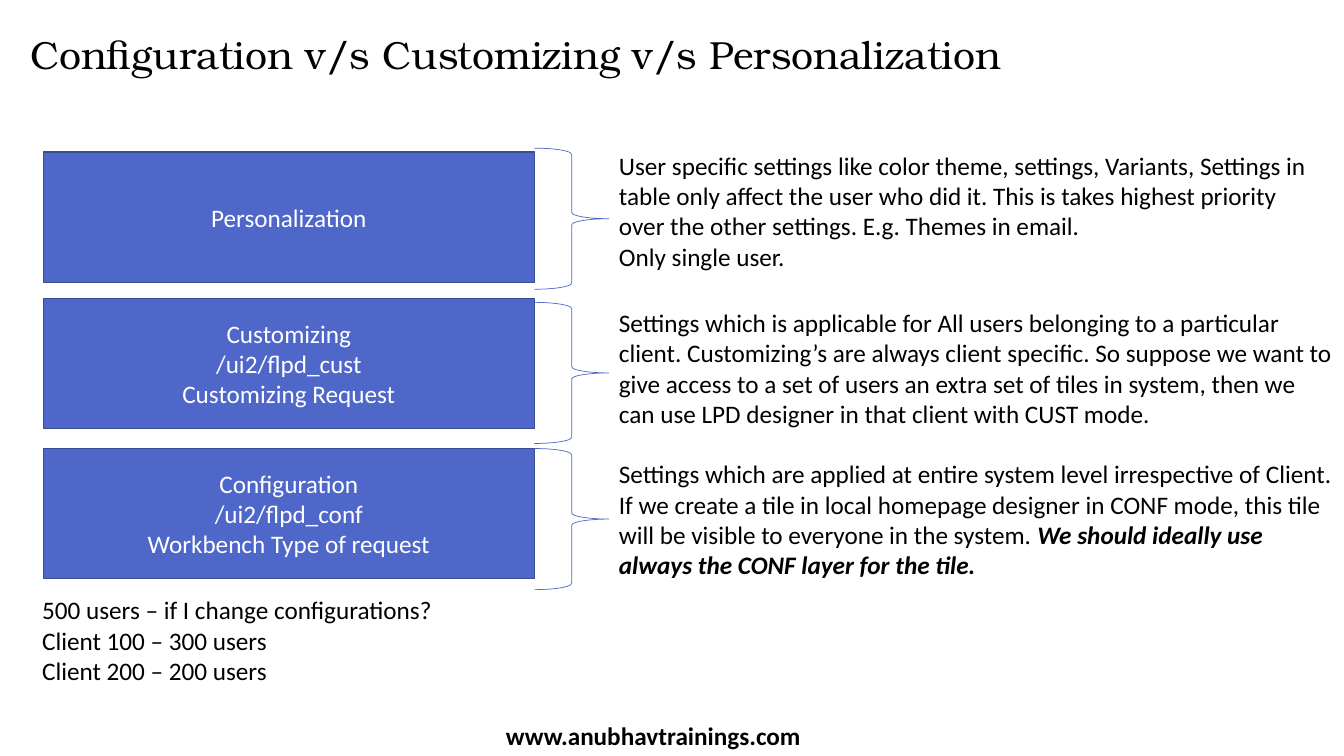
import pptx
import pptx.util
import pptx.dml.color
import pptx.enum.shapes
import pptx.enum.text

Inches = pptx.util.Inches
Pt = pptx.util.Pt
SHAPE = pptx.enum.shapes.MSO_SHAPE
ALIGN = pptx.enum.text.PP_ALIGN
MIDDLE = pptx.enum.text.MSO_ANCHOR.MIDDLE

BLUE, EDGE, BLACK, WHITE = "4E67C8", "3A4C94", "000000", "FFFFFF"
BODY = {"name": "Calibri", "size": Pt(18)}
STRONG = {"bold": True, "italic": True}

# Box top, brace top, note top, note width, box lines, note paragraphs (lists of runs)
LEVELS = [
    (1.51, 1.47, 1.44, 7.11, ["Personalization"],
     [[("User specific settings like color theme, settings, Variants, Settings in "
        "table only affect the user who did it. This is takes highest priority "
        "over the other settings. E.g. Themes in email.", {})],
      [("Only single user.", {})]]),
    (2.96, 3, 3, 7.29, ["Customizing", "/ui2/flpd_cust", "Customizing Request"],
     [[("Settings which is applicable for All users belonging to a particular "
        "client. Customizing’s are always client specific. So suppose we want to "
        "give access to a set of users an extra set of tiles in system, then we "
        "can use LPD designer in that client with CUST mode.", {})]]),
    (4.45, 4.45, 4.5, 7.29,
     ["Configuration", "/ui2/flpd_conf", "Workbench Type of request"],
     [[("Settings which are applied at entire system level irrespective of Client. "
        "If we create a tile in local homepage designer in CONF mode, this tile "
        "will be visible to everyone in the system. ", {}),
       ("We should ideally use always the CONF layer for the tile.", STRONG)]]),
]
QUESTION = ["500 users – if I change configurations?",
            "Client 100 – 300 users", "Client 200 – 200 users"]


def rgb(value):
    return pptx.dml.color.RGBColor.from_string(value)


def plain(lines):
    return [[(line, {})] for line in lines]


def write(tf, paragraphs, color=BLACK, align=ALIGN.LEFT, base=BODY):
    tf.word_wrap = True
    for i, runs in enumerate(paragraphs):
        p = tf.paragraphs[0] if i == 0 else tf.add_paragraph()
        p.alignment = align
        for text, extra in runs:
            r = p.add_run()
            r.text = text
            r.font.color.rgb = rgb(color)
            for key, value in {**base, **extra}.items():
                setattr(r.font, key, value)


def add_text(s, x, y, w, h, paragraphs):
    sp = s.shapes.add_textbox(Inches(x), Inches(y), Inches(w), Inches(h))
    write(sp.text_frame, paragraphs)


def add_outlined(s, kind, x, y, w, h, line, weight):
    sp = s.shapes.add_shape(kind, Inches(x), Inches(y), Inches(w), Inches(h))
    sp.shadow.inherit = False
    sp.line.color.rgb = rgb(line)
    sp.line.width = Pt(weight)
    return sp


def add_title(s, x, y, w, h):
    sp = s.shapes.title
    sp.left, sp.top, sp.width, sp.height = map(Inches, (x, y, w, h))
    tf = sp.text_frame
    tf.vertical_anchor = MIDDLE
    tf.margin_left = tf.margin_right = Inches(0.13)
    tf.margin_top = tf.margin_bottom = Inches(0.07)
    write(tf, plain(["Configuration v/s Customizing v/s Personalization"]),
          base={"name": "TeX Gyre Bonum", "size": Pt(28)})


def add_level(s, x, level):
    box_y, brace_y, note_y, note_w, lines, note = level
    box_w, brace_w = 4.87, 0.74

    # Named box
    sp = add_outlined(s, SHAPE.RECTANGLE, x, box_y, box_w, 1.29, EDGE, 1)
    sp.fill.solid()
    sp.fill.fore_color.rgb = rgb(BLUE)
    sp.text_frame.vertical_anchor = MIDDLE
    write(sp.text_frame, plain(lines), WHITE, ALIGN.CENTER)

    # Brace leading to the explanation
    brace = add_outlined(s, SHAPE.RIGHT_BRACE, x + box_w, brace_y, brace_w, 1.4, BLUE, 0.5)
    brace.fill.background()
    add_text(s, x + box_w + brace_w, note_y, note_w, 1.31, note)


def main():
    prs = pptx.Presentation()
    prs.slide_width, prs.slide_height = Inches(13.33), Inches(7.5)
    s = prs.slides.add_slide(prs.slide_layouts[5])

    add_title(s, 0.17, 0.14, 12, 0.78)
    for level in LEVELS:
        add_level(s, 0.43, level)

    # Closing question and web address
    add_text(s, 0.32, 5.85, 10.67, 1.01, plain(QUESTION))
    add_text(s, 4.92, 7.1, 3.88, 0.4, [[("www.anubhavtrainings.com", {"bold": True})]])
    prs.save("out.pptx")


if __name__ == "__main__":
    main()
